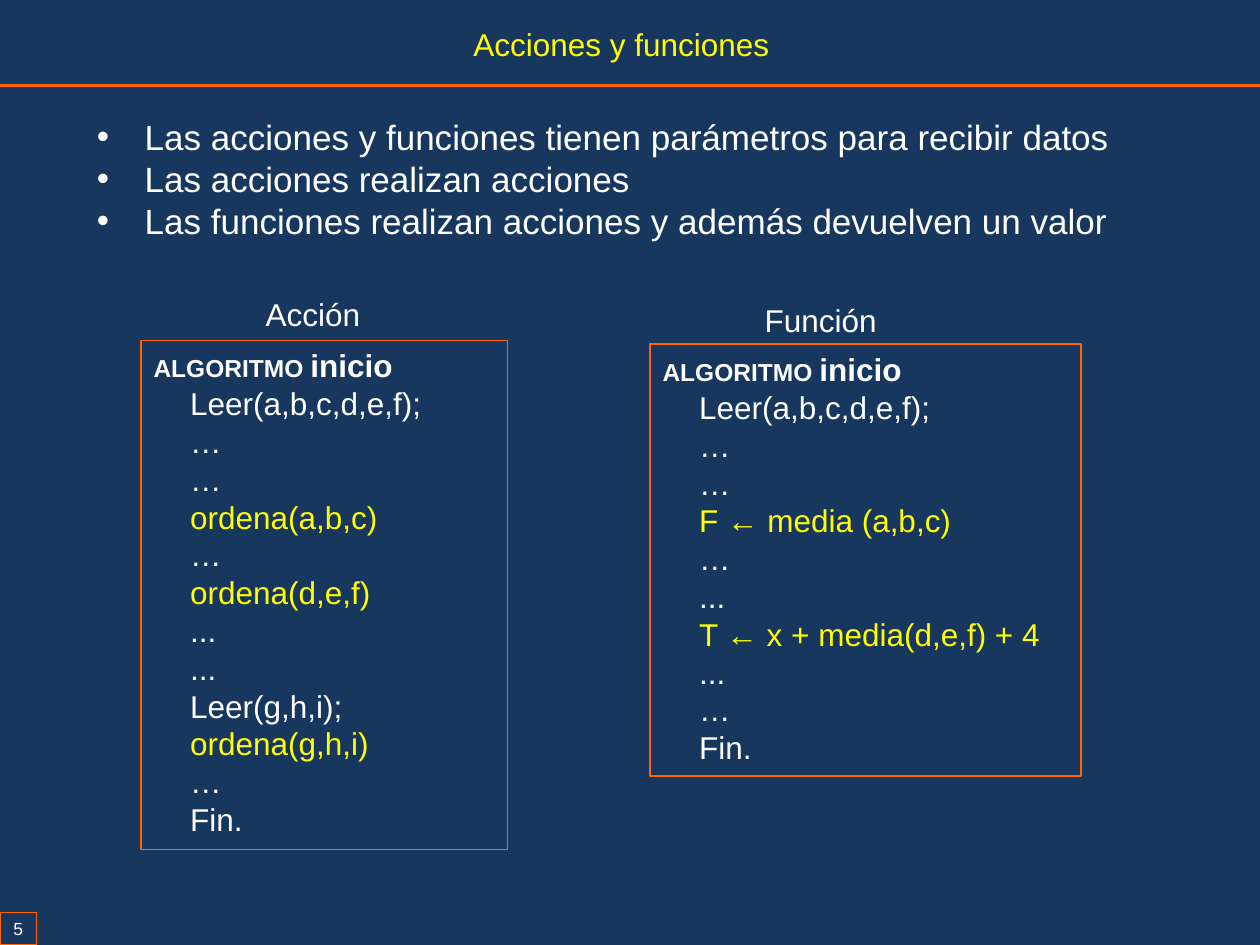
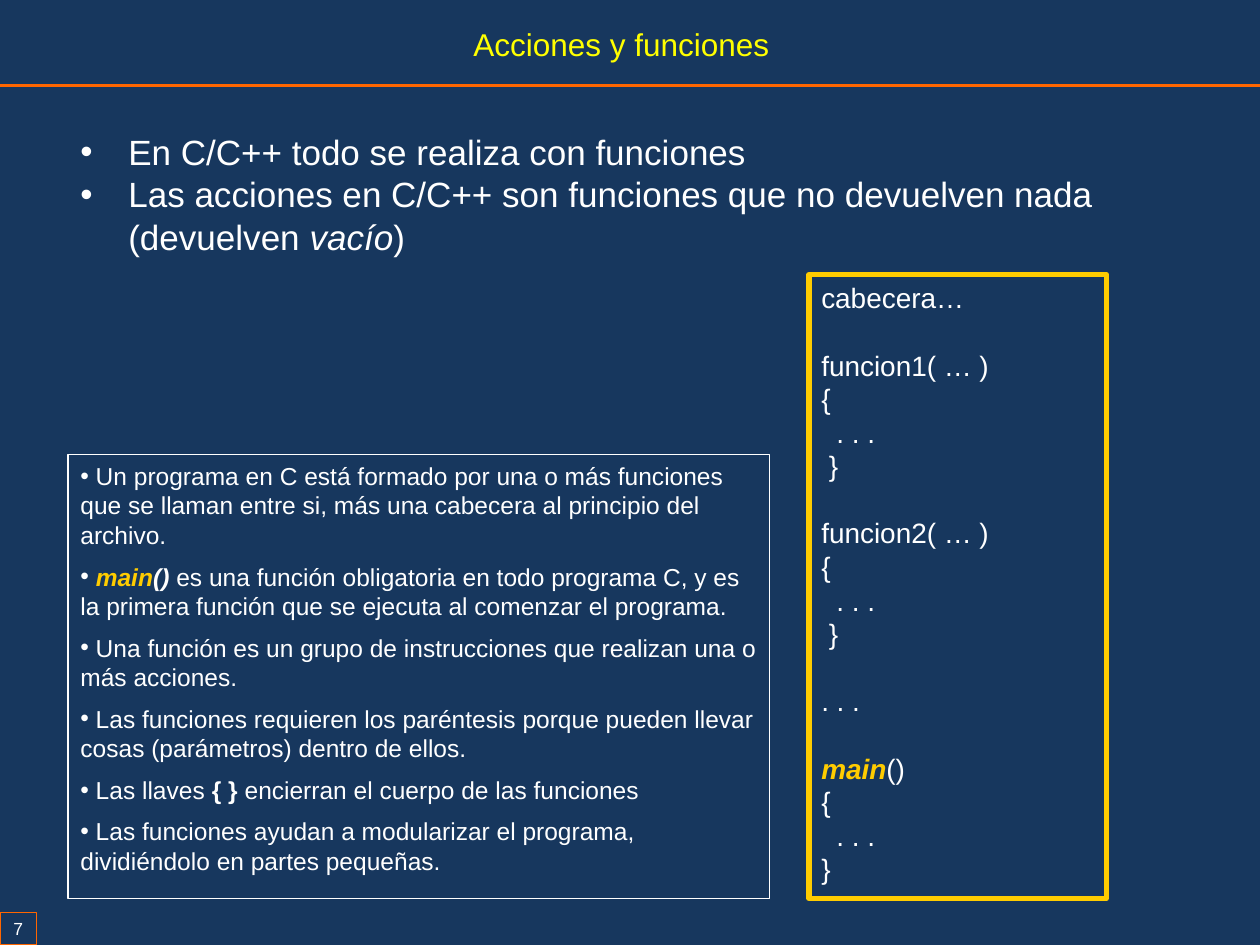
from dataclasses import dataclass
from typing import Optional, Sequence

from lxml import etree
from pptx import Presentation
from pptx.dml.color import RGBColor
from pptx.enum.shapes import MSO_CONNECTOR, MSO_SHAPE
from pptx.enum.text import MSO_ANCHOR, MSO_AUTO_SIZE, PP_ALIGN
from pptx.oxml.ns import qn
from pptx.util import Inches, Pt

NAVY = RGBColor(0x17, 0x37, 0x5E)
ORANGE = RGBColor(0xFF, 0x66, 0x00)
WHITE = RGBColor(0xFF, 0xFF, 0xFF)
YELLOW = RGBColor(0xFF, 0xFF, 0x00)
GOLD = RGBColor(0xFF, 0xCC, 0x00)

FONT = "Arial"
LINE_SPACING = 1.2
CODE_INDENT = 0.29
BULLET_INDENT = 0.38
RECTANGLE = MSO_SHAPE.RECTANGLE
STRAIGHT = MSO_CONNECTOR.STRAIGHT
LEFT, CENTER = PP_ALIGN.LEFT, PP_ALIGN.CENTER
TOP, MIDDLE = MSO_ANCHOR.TOP, MSO_ANCHOR.MIDDLE
NO_AUTOFIT = MSO_AUTO_SIZE.NONE


@dataclass(frozen=True)
class Box:
    """Place of an element, in inches."""
    left: float
    top: float
    width: float
    height: float

    def lengths(self) -> tuple:
        """Return left, top, width and height as lengths."""
        return tuple(Inches(v) for v in (self.left, self.top, self.width, self.height))


@dataclass(frozen=True)
class Run:
    """Piece of text with the settings that differ from its paragraph."""
    text: str
    color: Optional[RGBColor] = None
    size: Optional[float] = None
    bold: Optional[bool] = None
    italic: Optional[bool] = None


@dataclass(frozen=True)
class Line:
    """One paragraph; gaps are in points, indents in inches."""
    runs: tuple
    size: float
    indent: float = 0
    hanging: float = 0
    bullet: bool = False
    before: float = 0
    after: float = 0
    align: PP_ALIGN = LEFT


@dataclass(frozen=True)
class Algorithm:
    """Captioned listing whose highlighted steps are calls."""
    caption: str
    caption_box: Box
    box: Box
    steps: tuple
    calls: frozenset


def write(frame, lines: Sequence[Line], wrap: bool = True, anchor=TOP) -> None:
    """Fill a text frame with paragraphs."""
    frame.word_wrap = wrap
    frame.auto_size = NO_AUTOFIT
    frame.vertical_anchor = anchor
    for index, line in enumerate(lines):
        paragraph = frame.add_paragraph() if index else frame.paragraphs[0]
        paragraph.alignment = line.align
        paragraph.line_spacing = Pt(line.size * LINE_SPACING)
        paragraph.space_before = Pt(line.before)
        paragraph.space_after = Pt(line.after)
        properties = paragraph._p.get_or_add_pPr()
        properties.set("marL", str(Inches(line.indent)))
        properties.set("indent", str(-Inches(line.hanging)))
        if line.bullet:
            etree.SubElement(properties, qn("a:buFont"), typeface=FONT)
            etree.SubElement(properties, qn("a:buChar"), char="•")
        font = paragraph.font
        font.name, font.size = FONT, Pt(line.size)
        font.color.rgb = WHITE
        for piece in line.runs:
            run = paragraph.add_run()
            run.text = piece.text
            if piece.color is not None:
                run.font.color.rgb = piece.color
            if piece.size is not None:
                run.font.size = Pt(piece.size)
            if piece.bold is not None:
                run.font.bold = piece.bold
            if piece.italic is not None:
                run.font.italic = piece.italic


def add_text(slide, box: Box, lines: Sequence[Line], wrap: bool = True) -> None:
    """Add a plain text box."""
    write(slide.shapes.add_textbox(*box.lengths()).text_frame, lines, wrap)


def add_frame(slide, box: Box, color: RGBColor, weight: float):
    """Add an unfilled outlined rectangle and return its text frame."""
    frame = slide.shapes.add_shape(RECTANGLE, *box.lengths())
    frame.shadow.inherit = False
    frame.fill.background()
    frame.line.color.rgb = color
    frame.line.width = Pt(weight)
    return frame.text_frame


def add_base(deck, number: int):
    """Add a slide with its title, rule and page number."""
    slide = deck.slides.add_slide(deck.slide_layouts[6])
    rule = slide.shapes.add_connector(
        STRAIGHT, Inches(0), Inches(0.68), Inches(10), Inches(0.68))
    rule.line.color.rgb = ORANGE
    rule.line.width = Pt(2)
    etree.SubElement(rule._element.spPr, qn("a:effectLst"))

    page = add_frame(slide, Box(0, 7.24, 0.29, 0.26), ORANGE, 0.75)
    page.margin_left = page.margin_right = Inches(0.02)
    page.margin_top = page.margin_bottom = Inches(0.04)
    write(page, [Line((Run(str(number)),), 10, align=CENTER)], False, MIDDLE)

    add_text(slide, Box(3.66, 0.15, 2.57, 0.4),
             [Line((Run("Acciones y funciones", YELLOW),), 18)], wrap=False)
    return slide


def point(*runs: Run) -> Line:
    """Return a main bullet point."""
    return Line(runs, 20, BULLET_INDENT, BULLET_INDENT, bullet=True)


def note(*runs: Run) -> Line:
    """Return a small bulleted note followed by half a line."""
    return Line(runs, 14, bullet=True, after=7)


def code(*runs: Run, indent: float = 0, gap: bool = False) -> Line:
    """Return a program line, optionally one empty line lower."""
    return Line(runs, 16, indent, before=16 * LINE_SPACING if gap else 0)


def add_algorithm(slide, algorithm: Algorithm) -> None:
    """Add a framed algorithm with its caption."""
    heading = Line((Run("ALGORITMO ", size=14, bold=True), Run("inicio", bold=True)), 18)
    steps = [Line((Run(step, YELLOW if step in algorithm.calls else None),), 18, CODE_INDENT)
             for step in algorithm.steps]
    write(add_frame(slide, algorithm.box, ORANGE, 0.75), [heading, *steps])
    add_text(slide, algorithm.caption_box, [Line((Run(algorithm.caption),), 18)], wrap=False)


def function_body(indent: float) -> list:
    """Return the braces and dots of a function; indent is the closing brace's."""
    return [code(Run("{")), code(Run(". . ."), indent=0.12), code(Run("}"), indent=indent)]


ALGORITHMS = (
    Algorithm(
        "Acción", Box(2.01, 2.29, 0.96, 0.4), Box(1.12, 2.7, 2.91, 4.04),
        ("Leer(a,b,c,d,e,f);", "…", "…", "ordena(a,b,c)", "…", "ordena(d,e,f)",
         "...", "...", "Leer(g,h,i);", "ordena(g,h,i)", "…", "Fin."),
        frozenset({"ordena(a,b,c)", "ordena(d,e,f)", "ordena(g,h,i)"})),
    Algorithm(
        "Función", Box(5.97, 2.34, 1.1, 0.4), Box(5.16, 2.73, 3.42, 3.43),
        ("Leer(a,b,c,d,e,f);", "…", "…", "F ← media (a,b,c)", "…", "...",
         "T ← x + media(d,e,f) + 4", "...", "…", "Fin."),
        frozenset({"F ← media (a,b,c)", "T ← x + media(d,e,f) + 4"})),
)

MAIN = Run("main", GOLD, bold=True, italic=True)

PROGRAM = [
    code(Run("cabecera…")),
    code(Run("funcion1( … )"), gap=True), *function_body(0.06),
    code(Run("funcion2( … )"), gap=True), *function_body(0.06),
    code(Run(". . ."), gap=True),
    code(MAIN, Run("()"), gap=True), *function_body(0),
]

NOTES = [
    note(Run(" Un programa en C está formado por una o más funciones que se llaman "
             "entre si, más una cabecera al principio del archivo.")),
    note(Run(" "), MAIN, Run("()", bold=True, italic=True),
         Run(" es una función obligatoria en todo programa C, y es la primera función "
             "que se ejecuta al comenzar el programa.")),
    note(Run(" Una función es un grupo de instrucciones que realizan una o más acciones.")),
    note(Run(" Las funciones requieren los paréntesis porque pueden llevar cosas "
             "(parámetros) dentro de ellos.")),
    note(Run(" Las llaves "), Run("{ }", bold=True),
         Run(" encierran el cuerpo de las funciones")),
    note(Run(" Las funciones ayudan a modularizar el programa, dividiéndolo en partes "
             "pequeñas.")),
]


def build_comparison(deck) -> None:
    """Build the slide that compares actions with functions."""
    slide = add_base(deck, 5)
    add_text(slide, Box(0.67, 0.87, 8.66, 1.11), [
        point(Run("Las acciones y funciones tienen parámetros para recibir datos")),
        point(Run("Las acciones realizan acciones")),
        point(Run("Las funciones realizan acciones y además devuelven un valor")),
    ])
    for algorithm in ALGORITHMS:
        add_algorithm(slide, algorithm)


def build_c_functions(deck) -> None:
    """Build the slide about functions in C."""
    slide = add_base(deck, 7)
    add_text(slide, Box(0.54, 0.99, 8.82, 1.11), [
        point(Run("En C/C++ todo se realiza con funciones")),
        point(Run("Las acciones en C/C++ son funciones que no devuelven nada (devuelven "),
              Run("vacío", italic=True), Run(")")),
    ])
    write(add_frame(slide, Box(6.42, 2.18, 2.36, 4.95), GOLD, 3), PROGRAM)
    write(add_frame(slide, Box(0.54, 3.61, 5.57, 3.52), WHITE, 0.75), NOTES)


def main() -> None:
    """Build and save the presentation."""
    deck = Presentation()
    deck.slide_width, deck.slide_height = Inches(10), Inches(7.5)
    backdrop = deck.slide_master.background.fill
    backdrop.solid()
    backdrop.fore_color.rgb = NAVY
    build_comparison(deck)
    build_c_functions(deck)
    deck.save("out.pptx")


main()
